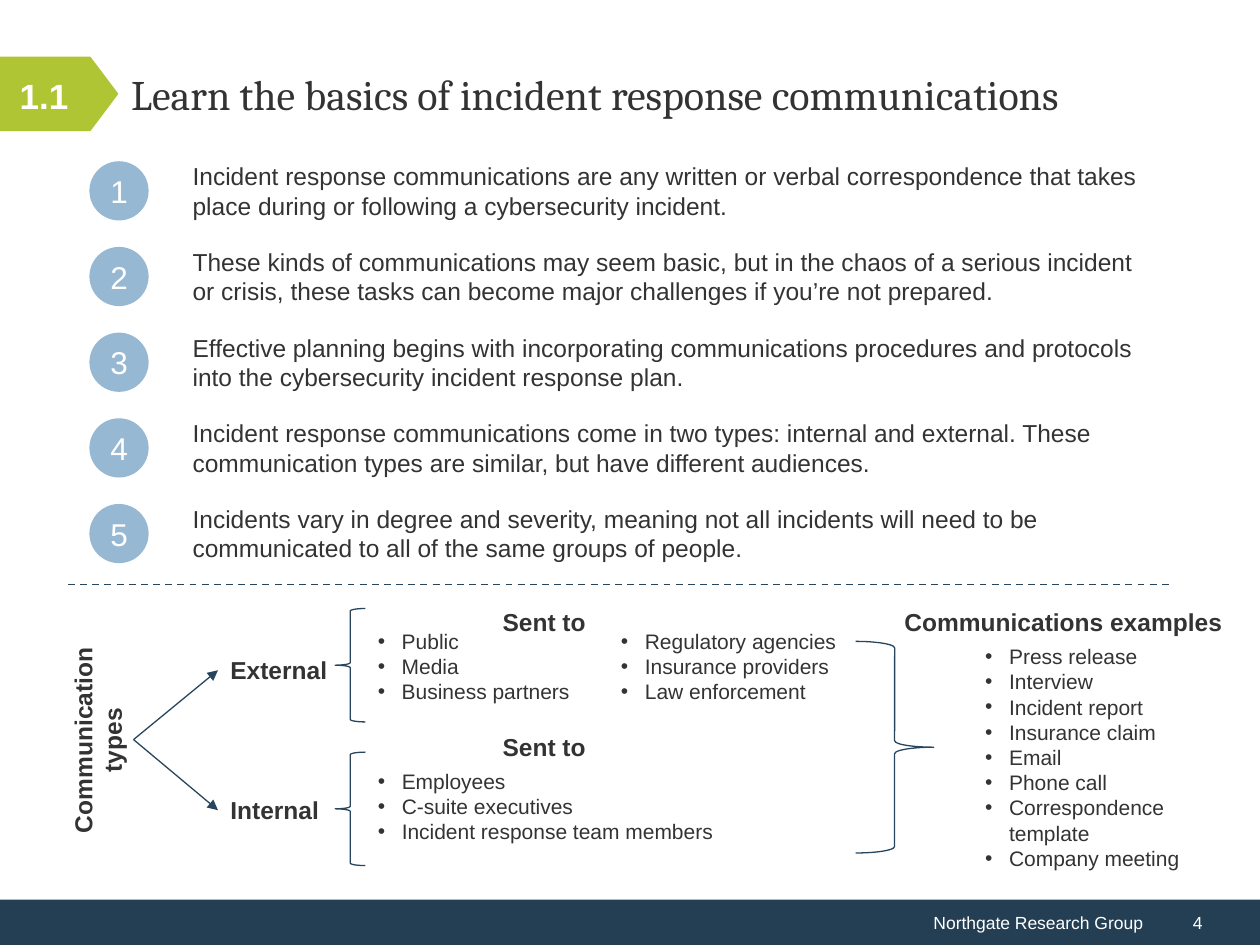
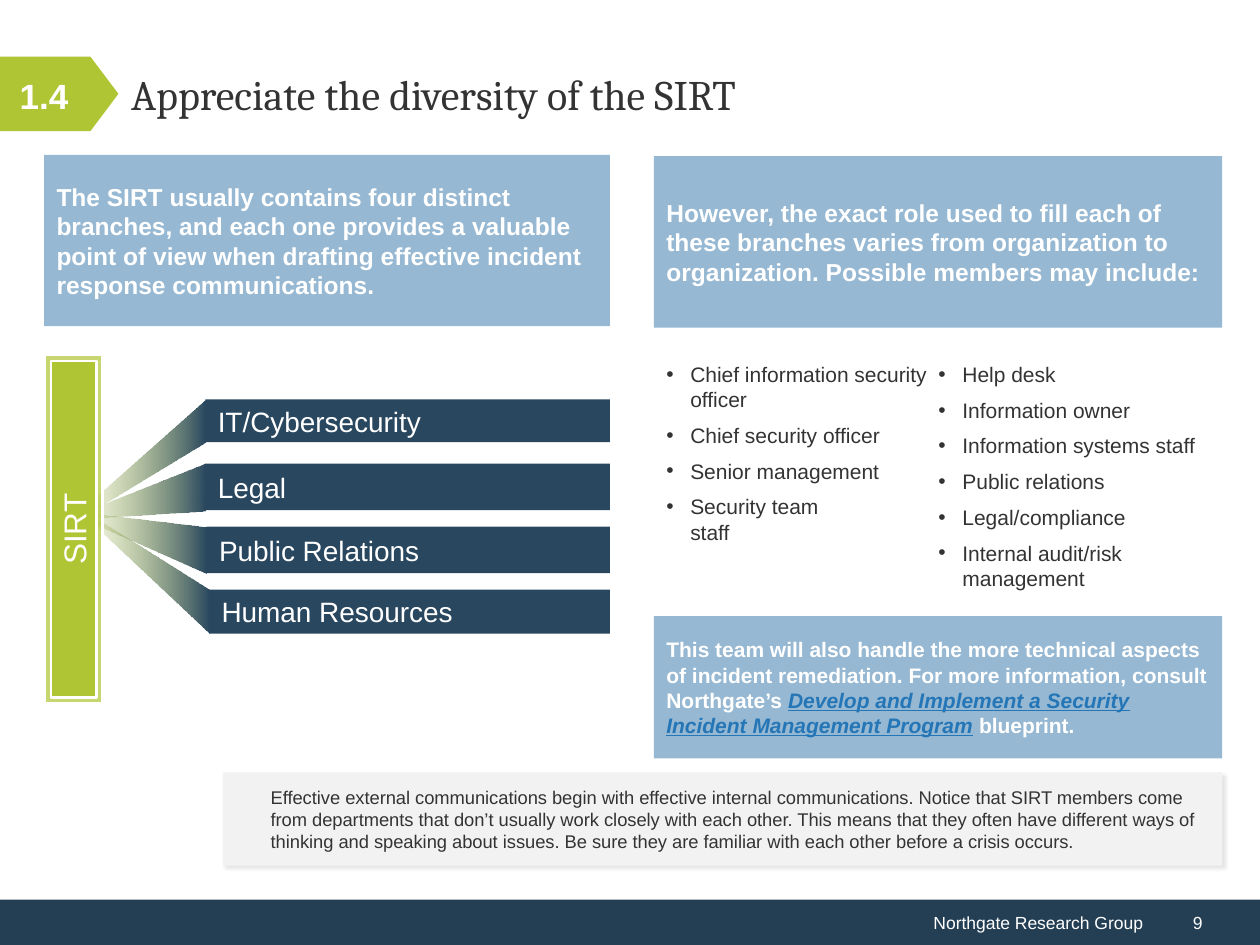
from lxml.etree import SubElement
from pptx import Presentation
from pptx.dml.color import RGBColor
from pptx.enum.dml import MSO_LINE
from pptx.enum.shapes import MSO_CONNECTOR, MSO_SHAPE
from pptx.enum.text import MSO_ANCHOR, PP_ALIGN
from pptx.oxml.ns import qn
from pptx.util import Inches, Pt

COLORS = {
    "white": "FFFFFF", "ink": "333333", "navy": "243F54", "line": "27465E",
    "bar": "29475F", "blue": "96B8D2", "green": "B0C534", "pale": "F2F2F2",
    "link": "2576B7", "black": "000000",
}
FIRM = "Northgate"
FACTS = [
    "Incident response communications are any written or verbal correspondence that takes place during or following a cybersecurity incident.",
    "These kinds of communications may seem basic, but in the chaos of a serious incident or crisis, these tasks can become major challenges if you’re not prepared.",
    "Effective planning begins with incorporating communications procedures and protocols into the cybersecurity incident response plan.",
    "Incident response communications come in two types: internal and external. These communication types are similar, but have different audiences.",
    "Incidents vary in degree and severity, meaning not all incidents will need to be communicated to all of the same groups of people.",
]
HEADS = [
    ("External", (1.73, 5.15, 2.77, 0.34), PP_ALIGN.LEFT),
    ("Internal", (1.73, 6.26, 2.92, 0.34), PP_ALIGN.LEFT),
    ("Sent to", (3.89, 4.77, 1.21, 0.34), PP_ALIGN.LEFT),
    ("Sent to", (3.89, 5.76, 1.21, 0.34), PP_ALIGN.LEFT),
    ("Communications examples", (6.95, 4.77, 2.98, 0.34), PP_ALIGN.CENTER),
]
LISTS = [
    (["Public", "Media", "Business partners"], (2.9, 4.94, 2.13, 0.8)),
    (["Regulatory agencies", "Insurance providers", "Law enforcement"], (4.83, 4.94, 2.13, 0.8)),
    (["Employees", "C-suite executives", "Incident response team members"], (2.9, 6.05, 3.89, 0.71)),
    (["Press release", "Interview", "Incident report", "Insurance claim", "Email",
      "Phone call", "Correspondence\ntemplate", "Company meeting"], (7.72, 5.06, 2.19, 1.9)),
]
BRACES = [
    (MSO_SHAPE.LEFT_BRACE, (2.66, 4.83, 0.24, 0.9)),
    (MSO_SHAPE.LEFT_BRACE, (2.66, 5.97, 0.24, 0.9)),
    (MSO_SHAPE.RIGHT_BRACE, (6.79, 5.09, 0.62, 1.68)),
]
FORK = (1.06, 5.87)
TIPS = [(1.73, 5.32), (1.73, 6.43)]

CLAIMS = [
    ("The SIRT usually contains four distinct branches, and each one provides a valuable point of view when drafting effective incident response communications.", (0.35, 1.23, 4.49, 1.36)),
    ("However, the exact role used to fill each of these branches varies from organization to organization. Possible members may include:", (5.19, 1.24, 4.51, 1.36)),
]
BRANCHES = [
    ("Legal", 1.63, 3.68, 0.37, [(0.52, 4.12), (0.53, 4.11)]),
    ("Public Relations", 1.64, 4.18, 0.37, [(0.54, 4.07), (0.54, 4.05)]),
    ("Human Resources", 1.66, 4.68, 0.35, [(0.59, 4.02), (0.57, 3.99)]),
    ("IT/Cybersecurity", 1.63, 3.17, 0.34, [(0.53, 4.18), (0.53, 4.15)]),
]
BAR_END = 4.84
ROLES = [
    (["Chief information security\nofficer", "Chief security officer",
      "Senior management", "Security team\nstaff"], (5.19, 2.82, 2.36, 2)),
    (["Help desk", "Information owner", "Information systems staff", "Public relations",
      "Legal/compliance", "Internal audit/risk management"], (7.35, 2.82, 2.36, 2)),
]
BLUEPRINT = [
    ("This team will also handle the more technical aspects of incident remediation. "
     f"For more information, consult {FIRM}’s ", False),
    ("Develop and Implement a Security Incident Management Program", True),
    (" blueprint.", False),
]
NOTE = ("Effective external communications begin with effective internal communications. "
        "Notice that SIRT members come from departments that don’t usually work closely with each other. "
        "This means that they often have different ways of thinking and speaking about issues. "
        "Be sure they are familiar with each other before a crisis occurs.")


def tint(name):
    return RGBColor.from_string(COLORS[name])


def style(font, size, color, bold=False, face="Arial"):
    font.name, font.size, font.bold = face, Pt(size), bold
    font.color.rgb = tint(color)


def indent(para, left, first=0):
    props = para._p.get_or_add_pPr()
    props.set("marL", str(Inches(left)))
    props.set("indent", str(Inches(first)))
    return props


def write(shape, lines, size, color="ink", bold=False, align=PP_ALIGN.LEFT,
          anchor=MSO_ANCHOR.TOP, bullet=False, after=0, face="Arial"):
    frame = shape.text_frame
    frame.word_wrap = True
    frame.vertical_anchor = anchor
    for i, line in enumerate(lines):
        para = frame.add_paragraph() if i else frame.paragraphs[0]
        para.text = line
        para.alignment = align
        para.space_after = Pt(after)
        if bullet:
            props = indent(para, 0.19, -0.19)
            SubElement(props, qn("a:buFont")).set("typeface", "Arial")
            SubElement(props, qn("a:buChar")).set("char", "•")
        style(para.font, size, color, bold, face)
    return shape


def text(slide, box, lines, size, **looks):
    return write(slide.shapes.add_textbox(*map(Inches, box)), lines, size, **looks)


def shape(slide, kind, box, fill=None, line=None, width=0.75):
    item = slide.shapes.add_shape(kind, *map(Inches, box))
    item.shadow.inherit = False
    if fill:
        item.fill.solid()
        item.fill.fore_color.rgb = tint(fill)
    else:
        item.fill.background()
    if line:
        item.line.color.rgb = tint(line)
        item.line.width = Pt(width)
    else:
        item.line.fill.background()
    return item


def panel(slide, box, fill, lines, size, **looks):
    item = shape(slide, MSO_SHAPE.RECTANGLE, box, fill)
    return write(item, lines, size, anchor=MSO_ANCHOR.MIDDLE, **looks)


def rule(slide, start, end, width):
    item = slide.shapes.add_connector(MSO_CONNECTOR.STRAIGHT, *map(Inches, start + end))
    item.line.color.rgb = tint("line")
    item.line.width = Pt(width)
    SubElement(item._element.spPr, qn("a:effectLst"))
    return item


def fade(item, share):
    color = item._element.xpath("./p:spPr//a:srgbClr")[0]
    SubElement(color, qn("a:alpha")).set("val", str(share * 1000))


def fan(slide, points):
    points = [tuple(map(Inches, point)) for point in points]
    maker = slide.shapes.build_freeform(*points[0])
    maker.add_line_segments(points[1:], close=True)
    item = maker.convert_to_shape()
    item.shadow.inherit = False
    item.line.fill.background()
    item.fill.gradient()
    item.fill.gradient_angle = 0
    for stop, name in zip(item.fill.gradient_stops, ("green", "bar")):
        stop.color.rgb = tint(name)
    fade(item, 0)


def start(deck, title, step, page):
    slide = deck.slides.add_slide(deck.slide_layouts[5])
    band = panel(slide, (0, 7.14, 10, 0.36), "navy", [f"{FIRM} Research Group"], 10,
                 color="white", align=PP_ALIGN.RIGHT)
    band.text_frame.margin_right = Inches(0.93)
    text(slide, (9.37, 7.14, 0.63, 0.36), [page], 10, color="white", anchor=MSO_ANCHOR.MIDDLE)
    tag = shape(slide, MSO_SHAPE.PENTAGON, (0, 0.45, 0.94, 0.59), "green")
    tag.adjustments[0] = 0.376
    head = slide.shapes.title
    head.left, head.top, head.width, head.height = map(Inches, (0.94, 0.29, 8.76, 0.94))
    write(head, [title], 24, anchor=MSO_ANCHOR.MIDDLE, face="Cambria")
    head.text_frame.paragraphs[0].line_spacing = Pt(26)
    text(slide, (0, 0.27, 0.7, 0.98), [step], 20, color="white", bold=True,
         align=PP_ALIGN.CENTER, anchor=MSO_ANCHOR.MIDDLE)
    return slide


def basics(deck):
    slide = start(deck, "Learn the basics of incident response communications", "1.1", "4")
    for i, fact in enumerate(FACTS):
        drop = 0.68 * i
        dot = shape(slide, MSO_SHAPE.OVAL, (0.71, 1.28 + drop, 0.47, 0.47), "blue")
        write(dot, [str(i + 1)], 18, color="white", align=PP_ALIGN.CENTER, anchor=MSO_ANCHOR.MIDDLE)
        text(slide, (1.43, 1.23 + drop, 7.72, 0.57), [fact], 14)
    rule(slide, (0.54, 4.64), (9.31, 4.64), 1).line.dash_style = MSO_LINE.DASH
    types = text(slide, (-0.31, 5.59, 2.17, 0.57), ["Communication types"], 14,
                 bold=True, align=PP_ALIGN.CENTER)
    types.rotation = 270
    for tip in TIPS:
        arrow = rule(slide, FORK, tip, 0.75)
        SubElement(arrow._element.xpath("./p:spPr/a:ln")[0], qn("a:tailEnd")).set("type", "triangle")
    for kind, box in BRACES:
        shape(slide, kind, box, line="line")
    for head, box, align in HEADS:
        text(slide, box, [head], 14, bold=True, align=align)
    for items, box in LISTS:
        text(slide, box, items, 12, bullet=True)


def team(deck):
    slide = start(deck, "Appreciate the diversity of the SIRT", "1.4", "9")
    for claim, box in CLAIMS:
        panel(slide, box, "blue", [claim], 14, color="white", bold=True)
    for name, left, top, high, root in BRANCHES:
        fan(slide, root + [(left, top), (left, top + high)])
        panel(slide, (left, top, BAR_END - left, high), "bar", [name], 16, color="white")
    frame = shape(slide, MSO_SHAPE.RECTANGLE, (-0.8, 3.97, 2.77, 0.46), "green", "white", 1.5)
    fade(frame, 70)
    core = shape(slide, MSO_SHAPE.RECTANGLE, (-0.75, 4.02, 2.67, 0.36), "green", "white", 1.5)
    write(core, ["SIRT"], 18, color="white", align=PP_ALIGN.CENTER, anchor=MSO_ANCHOR.MIDDLE)
    frame.rotation = core.rotation = 270
    for items, box in ROLES:
        text(slide, box, items, 12, bullet=True, after=6)
    note = panel(slide, (1.77, 6.13, 7.93, 0.74), "pale", [NOTE], 10.5)
    indent(note.text_frame.paragraphs[0], 0.28)
    shade = SubElement(note._element.xpath("./p:spPr/a:effectLst")[0], qn("a:outerShdw"),
                       blurRad=str(Pt(2)), dist=str(Pt(2)), dir="2700000")
    color = SubElement(shade, qn("a:srgbClr"), val=COLORS["black"])
    SubElement(color, qn("a:alpha"), val="10000")
    more = panel(slide, (5.19, 4.89, 4.51, 1.13), "blue", [""], 12, color="white", bold=True)
    for part, link in BLUEPRINT:
        run = more.text_frame.paragraphs[0].add_run()
        run.text = part
        style(run.font, 12, "link" if link else "white", True)
        run.font.italic = run.font.underline = link


def main():
    deck = Presentation()
    deck.slide_width, deck.slide_height = Inches(10), Inches(7.5)
    basics(deck)
    team(deck)
    deck.save("out.pptx")


if __name__ == "__main__":
    main()
